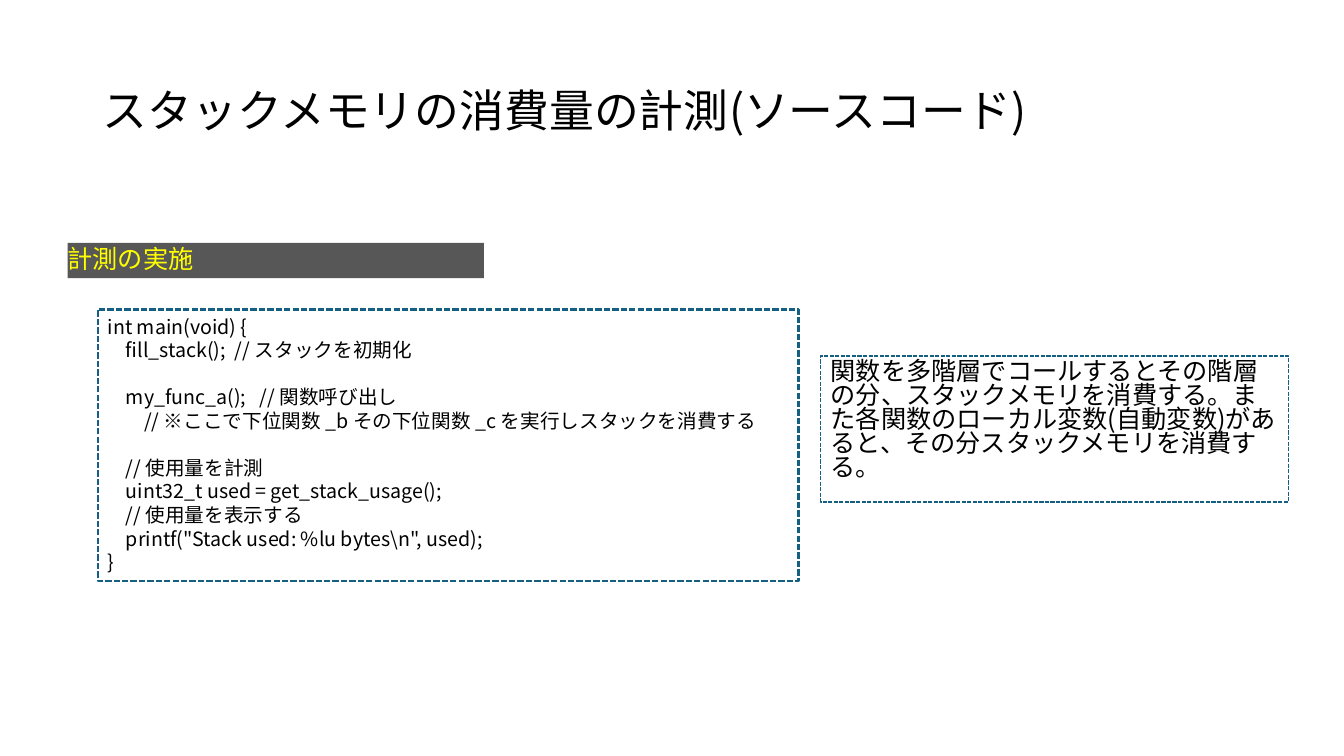
from pptx import Presentation
from pptx.dml.color import RGBColor
from pptx.enum.dml import MSO_LINE as Dash
from pptx.enum.shapes import MSO_SHAPE as Shape
from pptx.enum.text import MSO_ANCHOR as Anchor, PP_ALIGN as Align
from pptx.oxml.ns import qn
from pptx.util import Inches, Pt
from lxml import etree

BLACK = RGBColor(0x00, 0x00, 0x00)
YELLOW = RGBColor(0xFF, 0xFF, 0x00)
BLUE = RGBColor(0x15, 0x60, 0x82)
FONT = "Noto Sans CJK JP"
STEP = 0.18
GAP = 16.9

TITLE = "スタックメモリの消費量の計測(ソースコード)"
NOTE = (
    "関数を多階層でコールするとその階層の分、スタックメモリを消費する。"
    "また各関数のローカル変数(自動変数)があると、その分スタックメモリを消費する。"
)
CODE = [
    (0, 0, "int main(void) {"),
    (1, 0, "fill_stack();  // スタックを初期化"),
    (1, GAP, "my_func_a();   // 関数呼び出し"),
    (2, 0, "// ※ここで下位関数 _b その下位関数 _c を実行しスタックを消費する"),
    (1, GAP, "// 使用量を計測"),
    (1, 0, "uint32_t used = get_stack_usage();"),
    (1, 0, "// 使用量を表示する"),
    (1, 0, 'printf("Stack used: %lu bytes\\n", used);'),
    (0, 0, "}"),
]


def add_run(para, text, size, color):
    run = para.add_run()
    run.text = text
    font = run.font
    font.size = Pt(size)
    font.color.rgb = color
    font.name = FONT
    east = etree.SubElement(font._element, qn("a:ea"))
    east.set("typeface", FONT)


def write(frame, lines, size, color=BLACK, space=1.0):
    for num, (level, gap, text) in enumerate(lines):
        para = frame.add_paragraph() if num else frame.paragraphs[0]
        para.alignment = Align.LEFT
        para.line_spacing = space
        para.space_before = Pt(gap)
        if level:
            props = para._p.get_or_add_pPr()
            props.set("marL", str(Inches(STEP * level)))
            props.set("indent", "0")
        add_run(para, text, size, color)


def add_title(slide, text):
    box = slide.shapes.add_textbox(
        Inches(0.92), Inches(0.4), Inches(11.5), Inches(1.45))
    frame = box.text_frame
    frame.word_wrap = True
    frame.vertical_anchor = Anchor.MIDDLE
    write(frame, [(0, 0, text)], 32, space=0.9)


def add_rect(slide, left, top, width, height):
    rect = slide.shapes.add_shape(
        Shape.RECTANGLE, Inches(left), Inches(top),
        Inches(width), Inches(height))
    rect.shadow.inherit = False
    return rect


def add_band(slide, text):
    band = add_rect(slide, 0.67, 2.41, 4.13, 0.35)
    band.fill.solid()
    band.fill.fore_color.rgb = BLACK
    shade = band._element.spPr.find(".//" + qn("a:srgbClr"))
    etree.SubElement(shade, qn("a:alpha")).set("val", "66000")
    band.line.fill.background()
    frame = band.text_frame
    frame.margin_left = frame.margin_right = 0
    frame.margin_top = frame.margin_bottom = 0
    frame.word_wrap = False
    frame.vertical_anchor = Anchor.MIDDLE
    write(frame, [(0, 10, text)], 18, YELLOW, 0.9)


def add_panel(slide, left, top, width, height, weight):
    panel = add_rect(slide, left, top, width, height)
    panel.fill.background()
    panel.line.color.rgb = BLUE
    panel.line.width = Pt(weight)
    panel.line.dash_style = Dash.SQUARE_DOT
    frame = panel.text_frame
    frame.word_wrap = True
    frame.vertical_anchor = Anchor.TOP
    return frame


def main():
    deck = Presentation()
    deck.slide_width = Inches(13.33)
    deck.slide_height = Inches(7.5)
    slide = deck.slides.add_slide(deck.slide_layouts[6])
    add_title(slide, TITLE)
    add_band(slide, "計測の実施")
    write(add_panel(slide, 0.97, 3.07, 6.95, 2.69, 1.5), CODE, 14)
    note = add_panel(slide, 8.14, 3.53, 4.64, 1.45, 1)
    write(note, [(0, 10, NOTE)], 18, space=0.8)
    deck.save("out.pptx")


if __name__ == "__main__":
    main()
